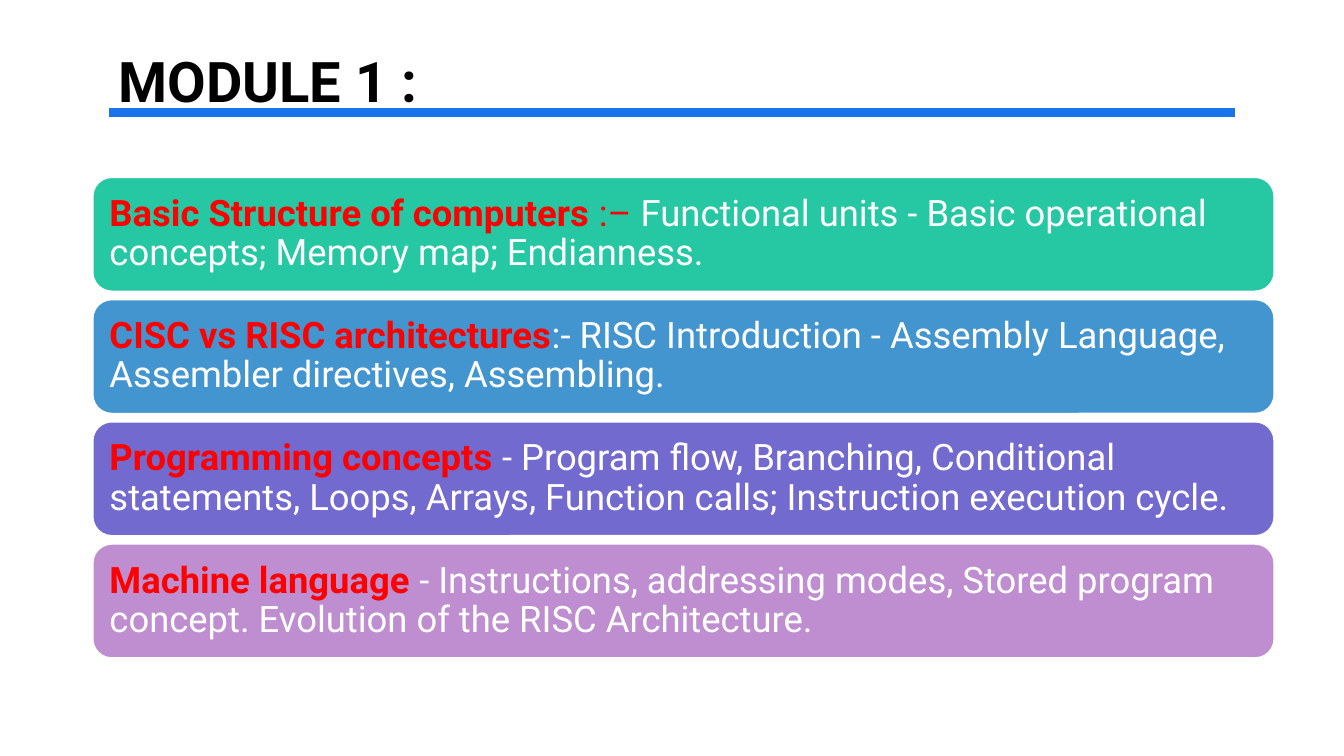
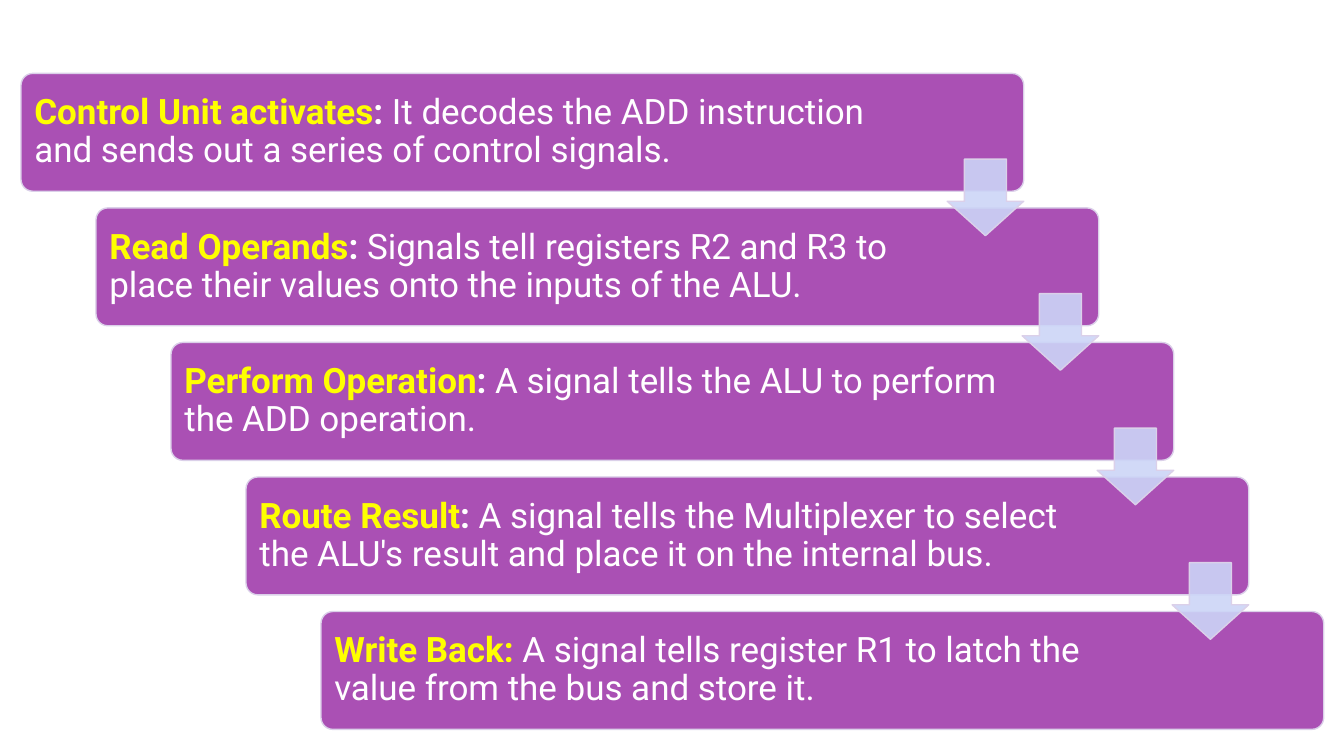
from lxml import etree
from pptx import Presentation
from pptx.dml.color import RGBColor
from pptx.enum.shapes import MSO_CONNECTOR, MSO_SHAPE
from pptx.enum.text import MSO_ANCHOR, PP_ALIGN
from pptx.oxml.ns import qn
from pptx.util import Cm, Pt

ROUNDED = MSO_SHAPE.ROUNDED_RECTANGLE
DOWN_ARROW = MSO_SHAPE.DOWN_ARROW
STRAIGHT = MSO_CONNECTOR.STRAIGHT
MIDDLE = MSO_ANCHOR.MIDDLE
LEFT = PP_ALIGN.LEFT

BLACK = RGBColor(0x00, 0x00, 0x00)
WHITE = RGBColor(0xFF, 0xFF, 0xFF)
RED = RGBColor(0xFF, 0x00, 0x00)
YELLOW = RGBColor(0xFF, 0xFF, 0x00)
BLUE = RGBColor(0x19, 0x73, 0xEB)
GREEN = RGBColor(0x25, 0xC8, 0xA2)
SKY = RGBColor(0x43, 0x95, 0xD0)
INDIGO = RGBColor(0x72, 0x6A, 0xCF)
LILAC = RGBColor(0xBF, 0x8E, 0xD1)
PURPLE = RGBColor(0xAA, 0x50, 0xB4)
PALE_BLUE = RGBColor(0xCC, 0xD5, 0xF7)
PALE_EDGE = RGBColor(0xDB, 0xD0, 0xE9)

# Each topic: panel colour, then runs of (text, colour, bold)
TOPICS = [
    (GREEN, [("Basic Structure of computers ", RED, True),
             (":– ", RED, False),
             ("Functional units - Basic operational concepts; Memory map; "
              "Endianness.", WHITE, False)]),
    (SKY, [("CISC vs RISC architectures", RED, True),
           (":- RISC Introduction - Assembly Language, Assembler directives, "
            "Assembling.", WHITE, False)]),
    (INDIGO, [("Programming concepts ", RED, True),
              ("- Program flow, Branching, Conditional statements, Loops, "
               "Arrays, Function calls; Instruction execution cycle.",
               WHITE, False)]),
    (LILAC, [("Machine language ", RED, True),
             ("- Instructions, addressing modes, Stored program concept. "
              "Evolution of the RISC Architecture.", WHITE, False)]),
]

# Each step: name, colour of its colon, explanation
STEPS = [
    ("Control Unit activates", WHITE,
     "It decodes the ADD instruction and sends out a series of control "
     "signals."),
    ("Read Operands", WHITE,
     "Signals tell registers R2 and R3 to place their values onto the inputs "
     "of the ALU."),
    ("Perform Operation", WHITE,
     "A signal tells the ALU to perform the ADD operation."),
    ("Route Result", WHITE,
     "A signal tells the Multiplexer to select the ALU's result and place it "
     "on the internal bus."),
    ("Write Back", YELLOW,
     "A signal tells register R1 to latch the value from the bus and store "
     "it."),
]


class Deck:
    FONT = "Roboto"

    def __init__(self):
        self.presentation = Presentation()
        self.presentation.slide_width = Cm(33.87)
        self.presentation.slide_height = Cm(19.05)
        self.slide = None

    def new_slide(self):
        blank = self.presentation.slide_layouts[6]
        self.slide = self.presentation.slides.add_slide(blank)

    def add_runs(self, paragraph, runs, size):
        paragraph.alignment = LEFT
        paragraph.font.name = self.FONT
        paragraph.font.size = Pt(size)
        for text, color, bold in runs:
            run = paragraph.add_run()
            run.text = text
            run.font.bold = bold
            run.font.color.rgb = color

    def title(self, text):
        """Heading with a thick rule beneath it."""
        heading = self.slide.shapes.add_textbox(
            Cm(2.74), Cm(1.04), Cm(28.78), Cm(1.7)).text_frame
        heading.word_wrap = True
        self.add_runs(heading.paragraphs[0], [(text, BLACK, True)], 40)
        rule = self.slide.shapes.add_connector(
            STRAIGHT, Cm(2.74), Cm(2.84), Cm(31.12), Cm(2.84))
        rule.line.color.rgb = BLUE
        rule.line.width = Pt(6)
        etree.SubElement(rule._element.spPr, qn("a:effectLst"))

    def shape(self, kind, left, top, width, height, fill, edge, adjust=()):
        shape = self.slide.shapes.add_shape(
            kind, Cm(left), Cm(top), Cm(width), Cm(height))
        shape.shadow.inherit = False
        shape.fill.solid()
        shape.fill.fore_color.rgb = fill
        shape.line.color.rgb = edge
        shape.line.width = Pt(1)
        for index, value in enumerate(adjust):
            shape.adjustments[index] = value
        return shape

    def panel(self, box, fill, edge, runs, size, margin, right, adjust=()):
        """Rounded panel; margin is the inset on all sides but the right."""
        frame = self.shape(ROUNDED, *box, fill, edge, adjust).text_frame
        frame.word_wrap = True
        frame.vertical_anchor = MIDDLE
        frame.margin_left = frame.margin_top = frame.margin_bottom = Cm(margin)
        frame.margin_right = Cm(right)
        paragraph = frame.paragraphs[0]
        paragraph.line_spacing = 0.9
        self.add_runs(paragraph, runs, size)

    def arrow(self, left, top, side):
        arrow = self.shape(DOWN_ARROW, left, top, side, side,
                           PALE_BLUE, PALE_EDGE, (0.55, 0.45))
        color = arrow._element.spPr.find(qn("a:solidFill"))[0]
        etree.SubElement(color, qn("a:alpha"), val="90000")


def module_slide(deck):
    deck.new_slide()
    deck.title("MODULE 1 :")
    for row, (fill, runs) in enumerate(TOPICS):
        deck.panel((2.34, 4.47 + row * 3.08, 29.77, 2.87), fill, WHITE, runs,
                   26, margin=0.28, right=0.28)


def steps_slide(deck):
    left, top, width, height = 0.53, 1.85, 25.27, 2.97
    shift, pitch, arrow_side = 1.89, 3.39, 1.93
    deck.new_slide()
    for row, (name, colon_color, text) in enumerate(STEPS):
        runs = [(name, YELLOW, True), (":", colon_color, True),
                (" " + text, WHITE, False)]
        box = (left + row * shift, top + row * pitch, width, height)
        deck.panel(box, PURPLE, PALE_EDGE, runs, 25, margin=0.25,
                   right=4.06 if row else 3.66, adjust=(0.1,))
    for row in range(len(STEPS) - 1):
        deck.arrow(left + width - arrow_side + row * shift,
                   top + 2.16 + row * pitch, arrow_side)


def main():
    deck = Deck()
    module_slide(deck)
    steps_slide(deck)
    deck.presentation.save("out.pptx")


if __name__ == "__main__":
    main()
